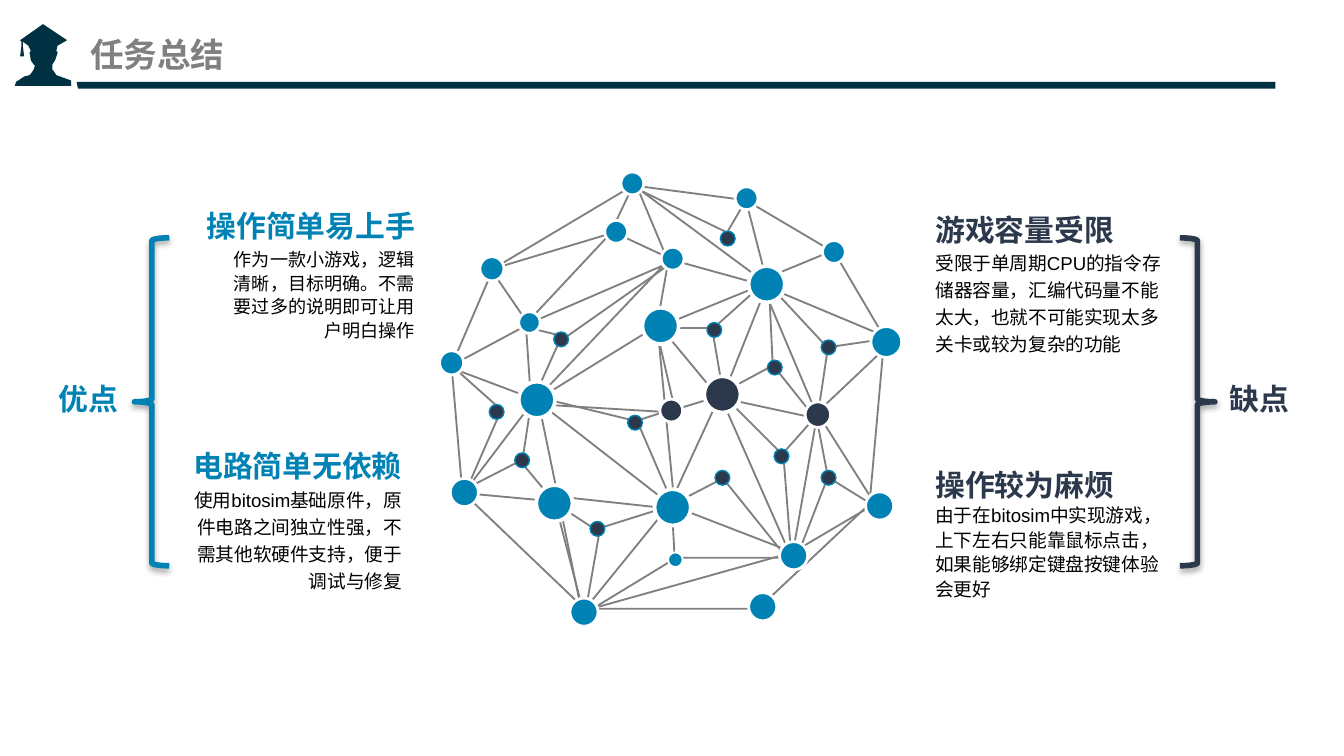
from pptx import Presentation
from pptx.dml.color import RGBColor
from pptx.enum.shapes import MSO_CONNECTOR, MSO_SHAPE
from pptx.enum.text import MSO_ANCHOR, PP_ALIGN
from pptx.oxml import parse_xml
from pptx.oxml.ns import nsdecls, qn
from pptx.util import Inches, Pt

BLUE = RGBColor(0x00, 0x83, 0xB4)
NAVY = RGBColor(0x2C, 0x39, 0x4C)
DEEP = RGBColor(0x00, 0x31, 0x42)
GRAY = RGBColor(0x80, 0x80, 0x80)
BLACK = RGBColor(0, 0, 0)
WHITE = RGBColor(0xFF, 0xFF, 0xFF)
PALE = RGBColor(0xFC, 0xFC, 0xFC)

# A 16:9 slide; all boxes are (left, top, width, height) on a grid of 1000 columns
WIDE = Inches(10)
HIGH = WIDE * 9 // 16
UNIT = WIDE // 1000

# Outlines, relative to the box of their region
CAP = [(42, 42), (31, 38), (29, 35), (28, 34), (28, 30), (30, 27), (32, 21), (31, 20),
       (32, 15), (32, 16), (39, 12), (21, 0), (4, 12), (5, 13), (5, 16), (4, 24),
       (7, 24), (6, 16), (6, 13), (10, 16), (12, 20), (11, 21), (12, 27), (14, 30),
       (15, 31), (14, 34), (12, 37), (11, 38), (7, 39), (1, 43), (0, 46), (42, 46)]
BAR = [(57, 61), (949, 61), (949, 66), (58, 66)]
RIM = [(171, 38), (255, 49), (321, 88), (358, 151), (347, 275), (264, 353),
       (135, 353), (44, 266), (36, 172), (67, 100)]
WEB = [
    [(277, 174), (308, 213), (316, 159), (276, 116)],
    [(287, 317), (238, 256), (205, 273), (200, 278), (202, 315), (289, 315), (237, 197),
     (272, 109), (275, 172), (238, 192), (230, 145), (269, 110), (169, 36)],
    [(202, 94), (118, 153)],
    [(67, 100), (157, 73), (202, 94), (267, 112), (365, 153), (308, 207), (351, 275),
     (290, 311), (140, 353)],
    [(67, 103), (93, 141), (197, 96), (189, 141), (202, 277), (290, 311), (308, 209),
     (267, 112), (191, 143), (235, 196), (198, 276), (133, 356), (100, 196), (197, 94),
     (174, 39)],
    [(101, 188), (118, 150), (90, 143), (36, 172), (73, 205), (46, 267), (111, 273),
     (143, 294), (194, 278), (111, 269)],
    [(91, 137), (95, 196), (39, 175)],
    [(95, 137), (154, 74), (171, 38), (173, 40), (241, 73), (255, 49), (270, 107), (316, 88)],
    [(98, 197), (202, 278), (174, 213), (202, 204), (188, 143), (102, 196), (172, 213)],
    [(241, 197), (282, 238), (306, 211), (241, 197)],
    [(146, 296), (135, 359), (113, 274), (87, 243), (48, 263), (95, 201), (89, 241)],
    [(202, 207), (102, 201)],
    [(353, 153), (312, 159)],
    [(292, 317), (316, 255), (308, 213)],
    [(353, 278), (316, 255)],
    [(283, 240), (289, 317)],
    [(200, 317), (131, 359)],
    [(231, 144), (194, 144)],
    [(231, 196), (205, 204)],
]
# Dots: left, top, diameter
BEADS = [(x, y, 11) for x, y in [
    (236, 72), (311, 153), (271, 168), (226, 140), (167, 209), (112, 147),
    (64, 201), (83, 237), (139, 288), (232, 250), (276, 234), (311, 250)]]
HUBS = [(197, 311, 11), (257, 98, 27), (178, 129, 27), (86, 184, 27), (187, 264, 27),
        (192, 84, 17), (35, 256, 21), (124, 345, 21), (257, 341, 21), (344, 266, 21),
        (348, 143, 23), (312, 79, 17), (247, 39, 17), (162, 28, 17), (57, 91, 18),
        (27, 161, 18), (86, 132, 16), (99, 261, 27), (150, 64, 17), (280, 303, 21)]
CORES = [(224, 180, 27), (191, 197, 17), (299, 199, 19)]


def put(obj, vals):
    for key, val in vals.items():
        setattr(obj, key, val)


def grid(*nums):
    return [int(n * UNIT) for n in nums]


def style(shape, fill, line=None, width=1):
    shape.shadow.inherit = False
    for part, tone in ((shape.fill, fill), (shape.line.fill, line)):
        if tone is None:
            part.background()
        else:
            part.solid()
            part.fore_color.rgb = tone
    if line is not None:
        shape.line.width = Pt(width)


def trace(shapes, box, points, close=False):
    spots = [(box[0] + x, box[1] + y) for x, y in points]
    pen = shapes.build_freeform(*spots[0], scale=UNIT)
    pen.add_line_segments(spots[1:], close=close)
    return pen.convert_to_shape()


def write(frame, text, font, tone, para, layout):
    put(frame, layout)
    line = frame.paragraphs[0]
    put(line, para)
    run = line.add_run()
    run.text = text
    put(run.font, font)
    run.font.color.rgb = tone


def header(slide, box):
    """Cap icon, rule and title."""
    shapes = slide.shapes
    style(trace(shapes, box, BAR, True), DEEP)
    style(trace(shapes, (box[0] + 11, box[1] + 18), CAP, True), DEEP)
    left, top, wide, high = grid(box[0] + 67, box[1] + 19, 233, 42)
    put(shapes.title, dict(left=left, top=top, width=wide, height=high))
    write(shapes.title.text_frame, "任务总结",
          dict(size=Pt(18), bold=True, name="Noto Sans CJK SC"), GRAY,
          dict(alignment=PP_ALIGN.LEFT),
          dict(margin_left=0, margin_right=0, word_wrap=True,
               vertical_anchor=MSO_ANCHOR.MIDDLE))


def web(shapes, box):
    """Globe of linked dots."""
    style(trace(shapes, box, RIM, True), None, GRAY)
    for points in WEB:
        if len(points) > 2:
            style(trace(shapes, box, points), None, GRAY)
            continue
        ends = [box[i] + spot[i] for spot in points for i in (0, 1)]
        link = shapes.add_connector(MSO_CONNECTOR.STRAIGHT, *grid(*ends))
        link.line.color.rgb = GRAY
        link.line.width = Pt(1)
        link._element.spPr.append(parse_xml(f"<a:effectLst {nsdecls('a')}/>"))
    for dots, fill, edge in ((BEADS, NAVY, BLUE), (HUBS, BLUE, WHITE), (CORES, NAVY, WHITE)):
        for x, y, size in dots:
            dot = shapes.add_shape(MSO_SHAPE.OVAL, *grid(box[0] + x, box[1] + y, size, size))
            width = 0.75 if edge == BLUE else 2 if size > 25 else 1.5 if size > 11 else 1
            style(dot, fill, edge, width)


def note(shapes, box, split, head, body, tone, align, inset, size, space):
    """Heading above a paragraph; split is the height of the heading."""
    x, y, wide, high = box
    pad = dict(margin_left=0, margin_right=0, margin_top=0, margin_bottom=0)
    pad[inset] = 39 * UNIT
    # A right-aligned heading may use the left inset, to stay on one line
    free = {"margin_left": 0} if align == PP_ALIGN.RIGHT else {}
    top = shapes.add_textbox(*grid(x, y, wide, split))
    write(top.text_frame, head, dict(size=Pt(16), bold=True, name="Arial"), tone,
          dict(alignment=align),
          {**pad, **free, "word_wrap": True, "vertical_anchor": MSO_ANCHOR.BOTTOM})
    low = shapes.add_textbox(*grid(x, y + split, wide, high - split))
    write(low.text_frame, body, dict(size=Pt(size), name="Arial"), BLACK,
          dict(alignment=align, line_spacing=space),
          dict(pad, word_wrap=True, vertical_anchor=MSO_ANCHOR.MIDDLE))


def side(shapes, box, label, kind, tone, flip):
    """Brace with its label on the outer side."""
    x, y, wide, high = box
    brace = shapes.add_shape(kind, *grid(x + (0 if flip else 67), y, 26, high))
    style(brace, None, tone, 3)
    brace._element.spPr.find(qn("a:effectLst")).append(parse_xml(
        f'<a:outerShdw {nsdecls("a")} blurRad="40000" dist="23000" dir="5400000" '
        'rotWithShape="0"><a:srgbClr val="000000"><a:alpha val="35000"/></a:srgbClr>'
        '</a:outerShdw>'))
    text = shapes.add_textbox(*grid(x + (26 if flip else 0), y + 101, 66, 37))
    write(text.text_frame, label, dict(size=Pt(16), bold=True, name="Arial"), tone,
          dict(alignment=PP_ALIGN.CENTER), dict(word_wrap=True))


def main():
    deck = Presentation()
    put(deck, dict(slide_width=WIDE, slide_height=HIGH))
    slide = deck.slides.add_slide(deck.slide_layouts[5])
    shapes = slide.shapes

    # Soft backdrop
    back = slide.background.fill
    back.gradient()
    back.gradient_angle = 270
    for stop, tone in zip(back.gradient_stops, (WHITE, PALE)):
        stop.color.rgb = tone

    header(slide, (0, 0, 1000, 70))
    web(shapes, (300, 100, 400, 400))

    # Drawbacks on the right, strengths on the left
    right, left = PP_ALIGN.RIGHT, PP_ALIGN.LEFT
    for row in [
        ((696, 328, 208, 118), 46, "操作较为麻烦",
         "由于在bitosim中实现游戏，上下左右只能靠鼠标点击，如果能够绑定键盘按键体验会更好",
         NAVY, left, "margin_right", 10, 1.1),
        ((657, 134, 209, 130), 50, "游戏容量受限",
         "受限于单周期CPU的指令存储器容量，汇编代码量不能太大，也就不可能实现太多关卡或较为复杂的功能",
         NAVY, left, "margin_left", 10, 1.2),
        ((134, 328, 204, 113), 32, "电路简单无依赖",
         "使用bitosim基础原件，原件电路之间独立性强，不需其他软硬件支持，便于调试与修复",
         BLUE, right, "margin_right", 10, 1.2),
        ((133, 134, 176, 122), 47, "操作简单易上手",
         "作为一款小游戏，逻辑清晰，目标明确。不需要过多的说明即可让用户明白操作",
         BLUE, right, "margin_left", 9.7, 1.1),
    ]:
        note(shapes, *row)
    side(shapes, (33, 177, 93, 244), "优点", MSO_SHAPE.LEFT_BRACE, BLUE, False)
    side(shapes, (878, 177, 93, 244), "缺点", MSO_SHAPE.RIGHT_BRACE, NAVY, True)
    deck.save("out.pptx")


if __name__ == "__main__":
    main()
